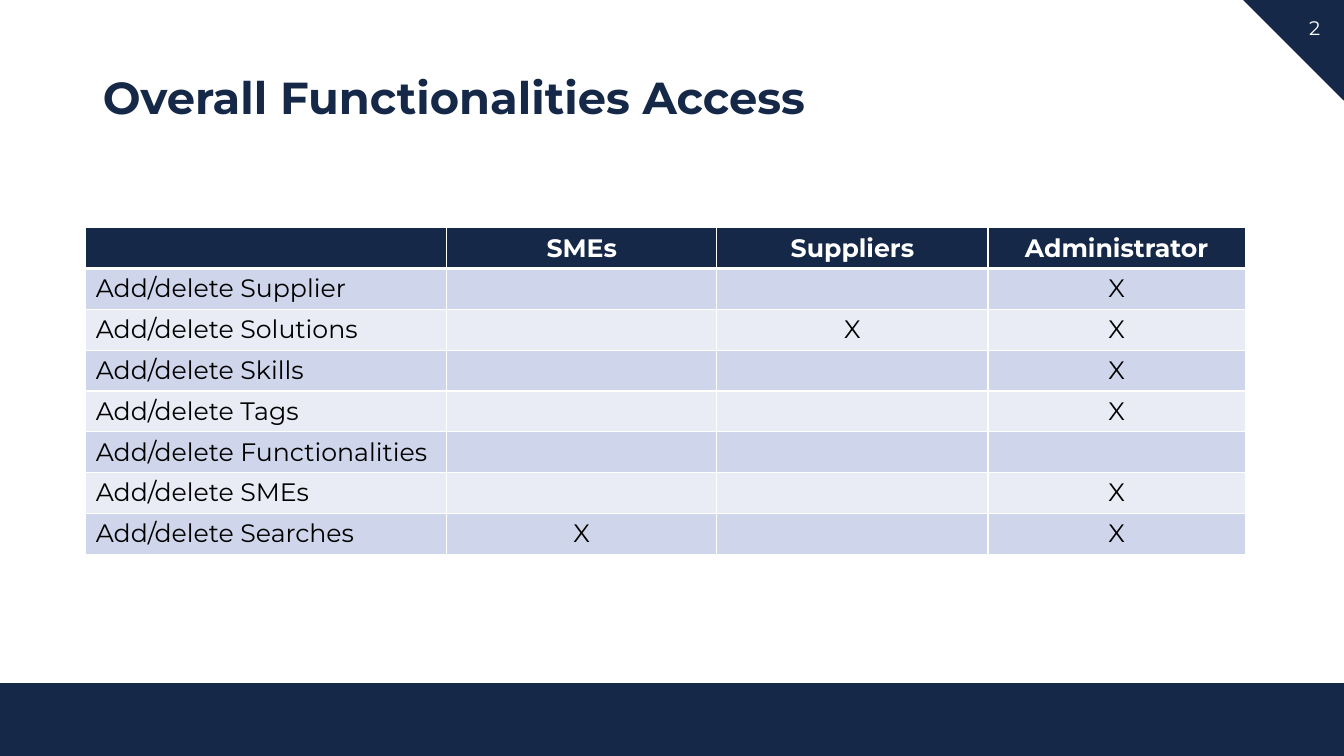
from lxml import etree
from pptx import Presentation
from pptx.dml.color import RGBColor
from pptx.enum.shapes import MSO_SHAPE
from pptx.enum.text import MSO_ANCHOR, PP_ALIGN
from pptx.oxml.ns import qn
from pptx.util import Inches, Pt

LEFT, CENTER = PP_ALIGN.LEFT, PP_ALIGN.CENTER
MIDDLE = MSO_ANCHOR.MIDDLE
TRIANGLE, RECTANGLE = MSO_SHAPE.RIGHT_TRIANGLE, MSO_SHAPE.RECTANGLE

# Content
TITLE = "Overall Functionalities Access"
PAGE = "2"
ROLES = ["SMEs", "Suppliers", "Administrator"]
ACCESS = [
    ("Supplier", ["Administrator"]),
    ("Solutions", ["Suppliers", "Administrator"]),
    ("Skills", ["Administrator"]),
    ("Tags", ["Administrator"]),
    ("Functionalities", []),
    ("SMEs", ["Administrator"]),
    ("Searches", ["SMEs", "Administrator"]),
]

FONT = "Montserrat"
COLORS = {"navy": "152847", "white": "FFFFFF", "black": "000000",
          "band_dark": "CFD5EA", "band_light": "E9EBF5"}
COL_WIDTHS = [3.58, 2.68, 2.69, 2.55]
ROW_HEIGHT = 0.405


def rgb(name):
    return RGBColor.from_string(COLORS[name])


def write(tf, text, size=18, color="black", bold=False, align=LEFT):
    p = tf.paragraphs[0]
    p.alignment = align
    r = p.add_run()
    r.text = text
    r.font.name, r.font.size, r.font.bold = FONT, Pt(size), bold
    r.font.color.rgb = rgb(color)
    return p


def add_block(s, kind, x, y, w, h):
    sp = s.shapes.add_shape(kind, Inches(x), Inches(y), Inches(w), Inches(h))
    sp.shadow.inherit = False
    sp.fill.solid()
    sp.fill.fore_color.rgb = rgb("navy")
    sp.line.color.rgb = rgb("navy")
    sp.line.width = Pt(1)
    return sp


def set_borders(cell, top=1, bottom=1):
    tcPr = cell._tc.get_or_add_tcPr()
    for side, width in (("L", 1), ("R", 1), ("T", top), ("B", bottom)):
        ln = etree.SubElement(tcPr, qn("a:ln" + side), w=str(Pt(width)))
        fill = etree.SubElement(ln, qn("a:solidFill"))
        etree.SubElement(fill, qn("a:srgbClr"), val=COLORS["white"])


prs = Presentation()
prs.slide_width, prs.slide_height = Inches(13.33), Inches(7.5)
s = prs.slides.add_slide(prs.slide_layouts[5])

# Corner and footer band
add_block(s, TRIANGLE, 12.33, -0.01, 1, 1).rotation = 180
add_block(s, RECTANGLE, 0, 6.78, 13.33, 0.74)

# Title
title = s.shapes.title
title.left, title.top = Inches(0.92), Inches(0.4)
title.width, title.height = Inches(11.5), Inches(1.18)
title.text_frame.vertical_anchor = MIDDLE
write(title.text_frame, TITLE, size=32, color="navy", bold=True).line_spacing = 0.9

# Page number
number = s.shapes.add_textbox(Inches(12.75), Inches(0.07), Inches(0.58), Inches(0.4))
number.text_frame.word_wrap = True
number.text_frame.vertical_anchor = MIDDLE
write(number.text_frame, PAGE, size=14, color="white", align=CENTER)

# Access table
rows = [[""] + ROLES]
for item, allowed in ACCESS:
    rows.append(["Add/delete " + item] + ["X" if role in allowed else "" for role in ROLES])

table = s.shapes.add_table(len(rows), len(COL_WIDTHS), Inches(0.85), Inches(2.26),
                           Inches(sum(COL_WIDTHS)), Inches(ROW_HEIGHT * len(rows))).table
for column, width in zip(table.columns, COL_WIDTHS):
    column.width = Inches(width)

for i, row in enumerate(rows):
    header = i == 0
    band = "navy" if header else "band_dark" if i % 2 else "band_light"
    for j, text in enumerate(row):
        cell = table.cell(i, j)
        set_borders(cell, top=3 if i == 1 else 1, bottom=3 if header else 1)
        cell.fill.solid()
        cell.fill.fore_color.rgb = rgb(band)
        if text:
            write(cell.text_frame, text, color="white" if header else "black",
                  bold=header, align=CENTER if j else LEFT)

prs.save("out.pptx")
